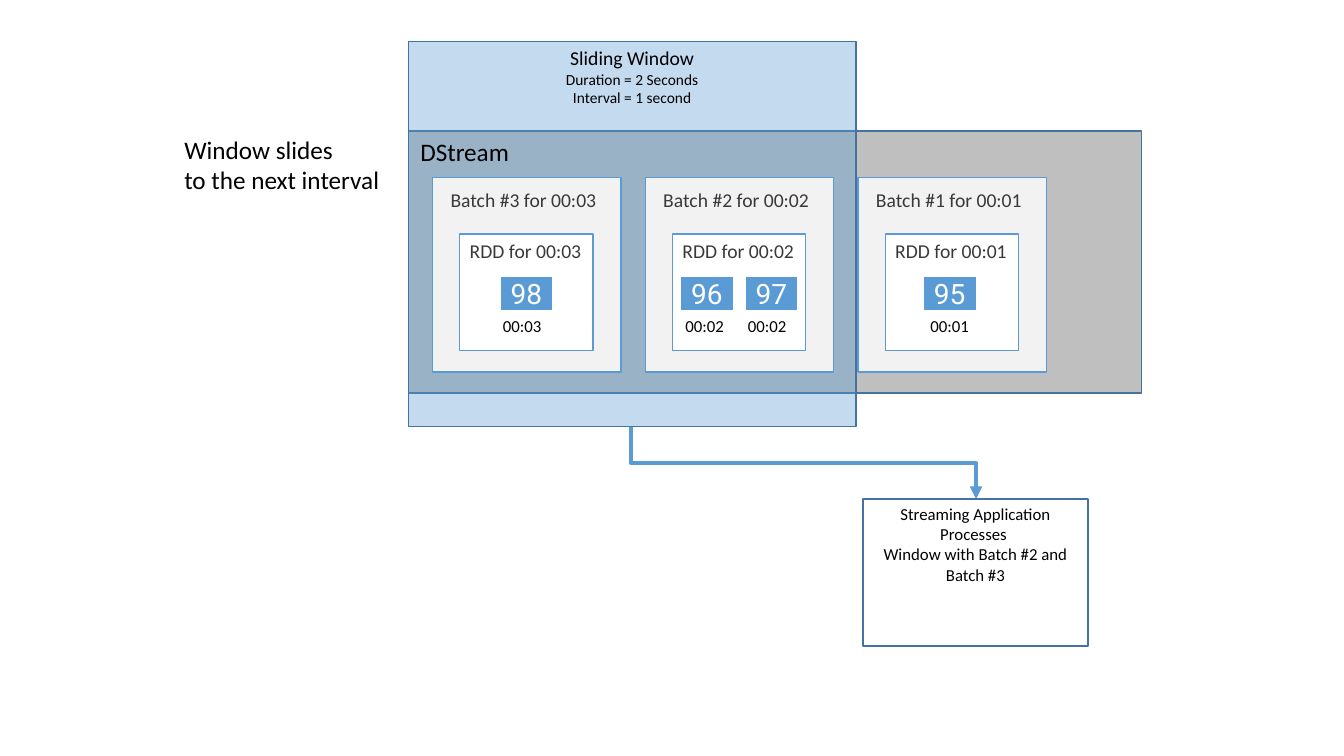
from lxml import etree
from pptx import Presentation
from pptx.dml.color import RGBColor
from pptx.enum.shapes import MSO_CONNECTOR, MSO_SHAPE
from pptx.enum.text import MSO_ANCHOR, MSO_AUTO_SIZE, PP_ALIGN
from pptx.oxml.ns import qn
from pptx.util import Inches, Pt

BLUE = "5B9BD5"
DARK_BLUE = "43739E"
WHITE = "FFFFFF"
BLACK = "000000"
CHARCOAL = "3B3838"
BATCH_LEFT = 4.29
BATCH_STEP = 2.11
BATCHES = [
    (1, [("95", 0.65, 0.62)]),
    (2, [("96", 0.35, 0.3), ("97", 0.99, 0.92)]),
    (3, [("98", 0.67, 0.6)]),
]


def color(value):
    return RGBColor.from_string(value)


class Diagram:
    font = "Calibri"
    value_font = "Roboto"

    def __init__(self, presentation):
        self.slide = presentation.slides.add_slide(presentation.slide_layouts[6])

    def set_text(self, shape, lines, size, text_color, align, font=None):
        frame = shape.text_frame
        for index, line in enumerate(lines):
            paragraph = frame.add_paragraph() if index else frame.paragraphs[0]
            paragraph.text = line
            paragraph.alignment = align
            paragraph.font.name = font or self.font
            paragraph.font.size = Pt(size)
            paragraph.font.color.rgb = color(text_color)

    def box(self, left, top, width, height, fill, line, line_width=1, alpha=None):
        shape = self.slide.shapes.add_shape(
            MSO_SHAPE.RECTANGLE, Inches(left), Inches(top), Inches(width), Inches(height))
        shape.shadow.inherit = False
        shape.fill.solid()
        shape.fill.fore_color.rgb = color(fill)
        shape.line.color.rgb = color(line)
        shape.line.width = Pt(line_width)
        shape.text_frame.vertical_anchor = MSO_ANCHOR.TOP
        if alpha:
            fill_color = shape._element.spPr.find(qn("a:solidFill"))[0]
            etree.SubElement(fill_color, qn("a:alpha"), val=str(alpha * 1000))
        return shape

    def label(self, left, top, width, height, lines, size, text_color=BLACK):
        shape = self.slide.shapes.add_textbox(
            Inches(left), Inches(top), Inches(width), Inches(height))
        shape.text_frame.word_wrap = False
        shape.text_frame.auto_size = MSO_AUTO_SIZE.SHAPE_TO_FIT_TEXT
        self.set_text(shape, lines, size, text_color, PP_ALIGN.LEFT)

    def value(self, left, text):
        shape = self.box(left, 2.74, 0.52, 0.34, BLUE, WHITE, 0.5)
        shape.text_frame.word_wrap = False
        shape.text_frame.vertical_anchor = MSO_ANCHOR.MIDDLE
        self.set_text(shape, [text], 20, WHITE, PP_ALIGN.CENTER, self.value_font)

    def batch(self, number, events):
        left = BATCH_LEFT + BATCH_STEP * (3 - number)
        time = f"00:0{number}"
        self.box(left, 1.76, 1.87, 1.93, "F2F2F2", BLUE)
        self.box(left + 0.27, 2.32, 1.32, 1.16, WHITE, BLUE)
        self.label(left + 0.27, 2.32, 1.32, 0.34, [f"RDD for {time}"], 14, CHARCOAL)
        self.label(left + 0.08, 1.82, 1.66, 0.34, [f"Batch #{number} for {time}"], 14, CHARCOAL)
        for text, value_offset, time_offset in events:
            self.value(left + value_offset, text)
            self.label(left + time_offset, 3.08, 0.59, 0.3, [time], 12)

    def down_arrow(self, start_x, start_y, end_x, end_y):
        center_x, center_y = (start_x + end_x) / 2, (start_y + end_y) / 2
        half_width, half_height = (end_y - start_y) / 2, (end_x - start_x) / 2
        connector = self.slide.shapes.add_connector(
            MSO_CONNECTOR.ELBOW,
            Inches(center_x + half_width), Inches(center_y - half_height),
            Inches(center_x - half_width), Inches(center_y + half_height))
        connector.line.color.rgb = color(BLUE)
        connector.line.width = Pt(3)
        properties = connector._element.spPr
        properties.find(qn("a:xfrm")).set("rot", str(270 * 60000))
        etree.SubElement(properties.find(qn("a:ln")), qn("a:tailEnd"), type="triangle")
        etree.SubElement(properties, qn("a:effectLst"))


def main():
    presentation = Presentation()
    presentation.slide_width = Inches(13.33)
    presentation.slide_height = Inches(7.5)
    diagram = Diagram(presentation)

    diagram.box(4.05, 1.3, 7.27, 2.6, "BFBFBF", DARK_BLUE)
    window = diagram.box(4.05, 0.41, 4.44, 3.82, BLUE, DARK_BLUE, alpha=36)
    window_lines = ["Sliding Window\vDuration = 2 Seconds", "Interval = 1 second"]
    diagram.set_text(window, window_lines, 11, BLACK, PP_ALIGN.CENTER)
    window.text_frame.paragraphs[0].runs[0].font.size = Pt(14)
    diagram.label(4.07, 1.3, 1.09, 0.4, ["DStream"], 18)

    for number, events in BATCHES:
        diagram.batch(number, events)

    application = diagram.box(8.56, 4.95, 2.23, 1.46, WHITE, DARK_BLUE)
    application_text = "Streaming Application Processes \vWindow with Batch #2 and Batch #3"
    diagram.set_text(application, [application_text], 12, BLACK, PP_ALIGN.CENTER)
    diagram.down_arrow(6.26, 4.24, 9.68, 4.95)
    diagram.label(1.73, 1.28, 2.16, 0.71, ["Window slides", "to the next interval"], 18)

    presentation.save("out.pptx")


if __name__ == "__main__":
    main()
